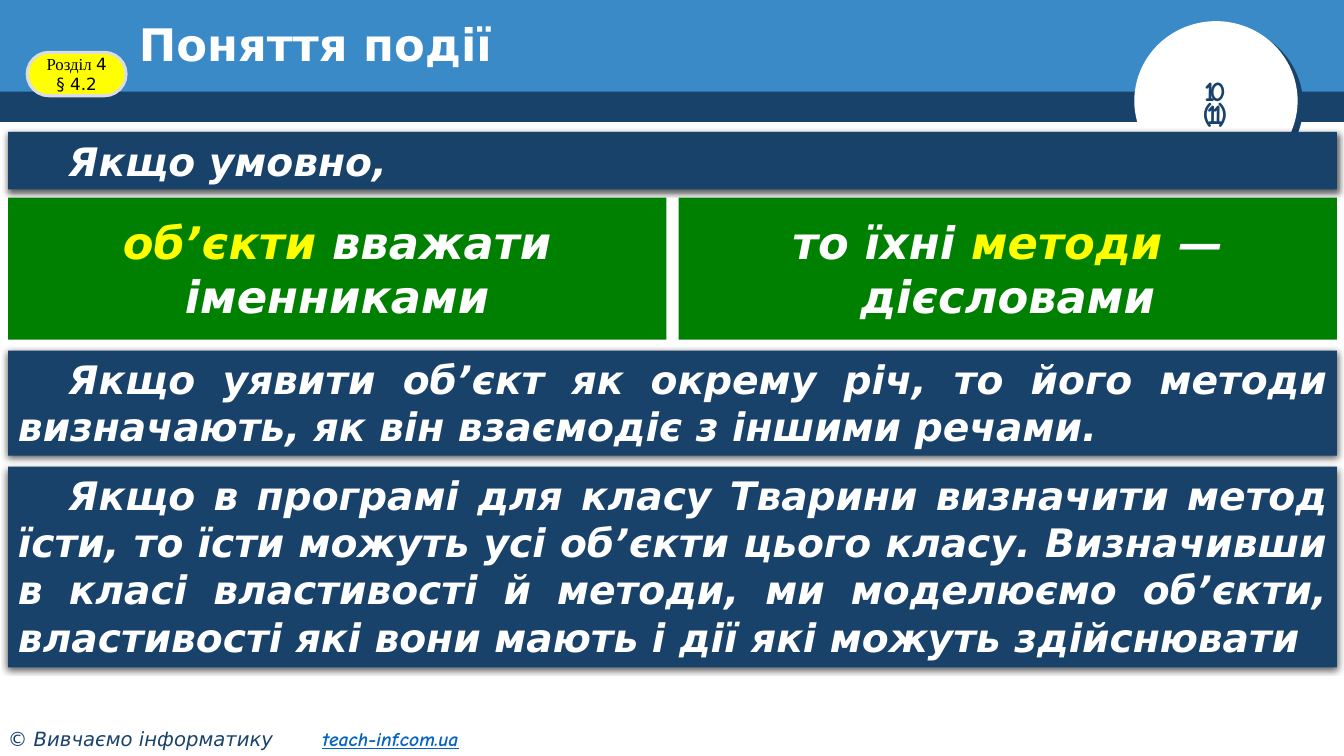
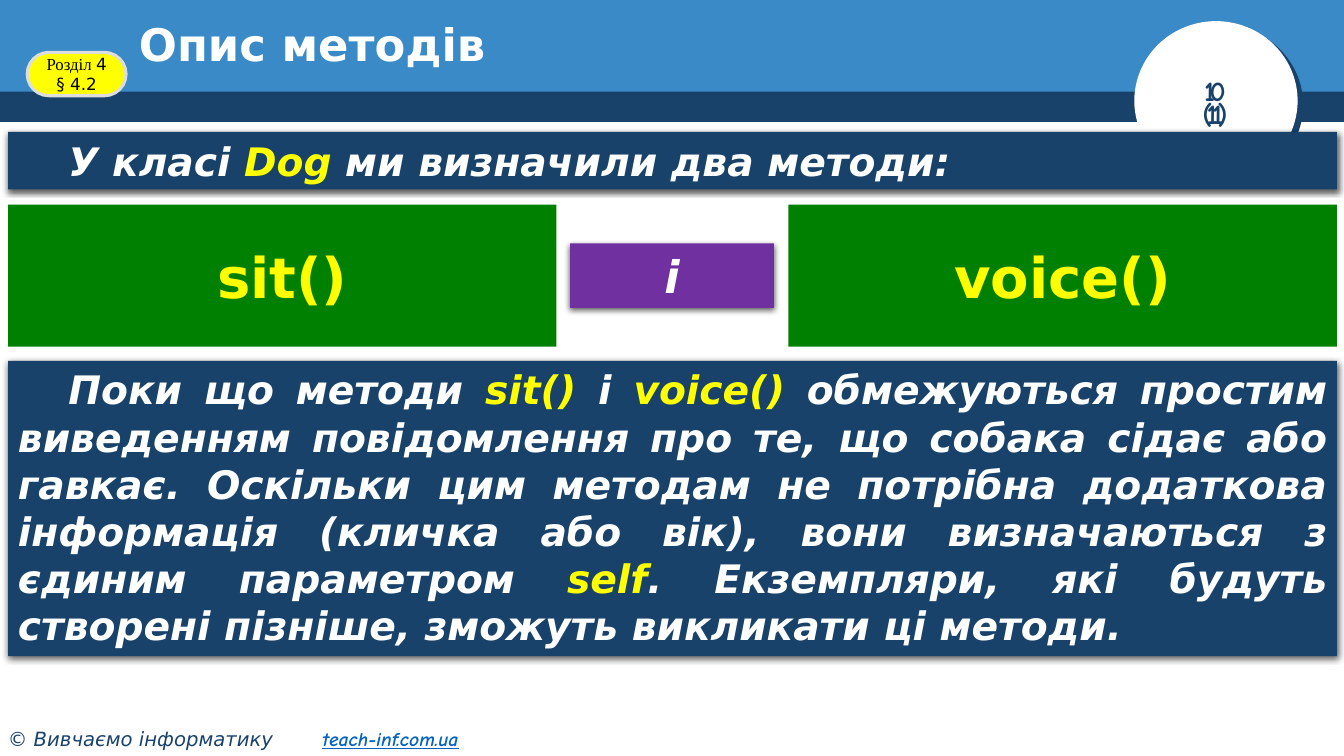
from dataclasses import dataclass
from typing import NamedTuple

import pptx
import pptx.util
import pptx.dml.color
import pptx.enum.shapes
import pptx.enum.text
import pptx.oxml
import pptx.oxml.ns
import pptx.shapes.autoshape
import pptx.slide

Inches = pptx.util.Inches
Pt = pptx.util.Pt
Align = pptx.enum.text.PP_ALIGN
Anchor = pptx.enum.text.MSO_ANCHOR
Preset = pptx.enum.shapes.MSO_SHAPE
Shape = pptx.shapes.autoshape.Shape
Slide = pptx.slide.Slide


# Theme and data types
@dataclass(frozen=True)
class Theme:
    navy: str = "19426B"
    blue: str = "398AC7"
    green: str = "008000"
    purple: str = "7030A0"
    yellow: str = "FFFF00"
    white: str = "FFFFFF"
    black: str = "000000"
    badge_border: str = "DDDDDD"
    link: str = "0563C1"
    font: str = "DejaVu Sans"
    badge_font: str = "Times New Roman"
    comic_font: str = "Comic Neue"
    title_size: int = 32
    body_size: int = 28
    panel_size: int = 32
    method_size: int = 40
    number_size: int = 20
    footer_size: int = 14
    badge_size: int = 12


THEME = Theme()


class Box(NamedTuple):
    left: float
    top: float
    width: float
    height: float


class Shadow(NamedTuple):
    color: str
    opacity: int
    blur: float
    distance: float
    angle: int


class Span(NamedTuple):
    text: str
    color: str | None = None
    font: str | None = None
    bold: bool | None = None
    italic: bool | None = None
    underline: bool | None = None


class Statement(NamedTuple):
    top: float
    height: float
    spans: list[Span]


def key(text: str) -> Span:
    """A highlighted part of a sentence."""
    return Span(text, color=THEME.yellow)


SLIDE_WIDTH, SLIDE_HEIGHT = 13.33, 7.5
MARGIN, CONTENT_WIDTH = 0.08, 13.18
PANEL_HEIGHT = 1.41
CARD_SHADOW = Shadow(THEME.black, 63, 4.5, 1.5, 90)
CIRCLE_SHADOW = Shadow(THEME.navy, 100, 0, 5, 37)


# Drawing helpers
def rgb(value: str) -> pptx.dml.color.RGBColor:
    return pptx.dml.color.RGBColor.from_string(value)


def add_block(slide: Slide, box: Box, fill: str, *, preset: Preset = Preset.RECTANGLE,
              border: str | None = None, shadow: Shadow | None = None) -> Shape:
    shape = slide.shapes.add_shape(preset, *map(Inches, box))
    shape.fill.solid()
    shape.fill.fore_color.rgb = rgb(fill)
    if border:
        shape.line.color.rgb = rgb(border)
        shape.line.width = Pt(2.25)
    else:
        shape.line.fill.background()
    shape.shadow.inherit = False
    if shadow:
        effects = shape._element.spPr.find(pptx.oxml.ns.qn("a:effectLst"))
        effects.append(pptx.oxml.parse_xml(
            f'<a:outerShdw {pptx.oxml.ns.nsdecls("a")} blurRad="{Pt(shadow.blur)}" '
            f'dist="{Pt(shadow.distance)}" dir="{shadow.angle * 60000}" '
            f'algn="t" rotWithShape="0"><a:srgbClr val="{shadow.color}">'
            f'<a:alpha val="{shadow.opacity * 1000}"/></a:srgbClr></a:outerShdw>'))
    return shape


def write_text(shape: Shape, spans: list[Span], *, size: int, color: str = THEME.white,
               font: str = THEME.font, bold: bool = True, italic: bool = False,
               align: Align = Align.LEFT, anchor: Anchor = Anchor.TOP,
               indent: float = 0, line_spacing: float | None = None,
               tab: float | None = None, tracking: float = 0) -> None:
    frame = shape.text_frame
    frame.word_wrap = True
    frame.vertical_anchor = anchor
    paragraph = frame.paragraphs[0]
    paragraph.alignment = align
    if line_spacing:
        paragraph.line_spacing = line_spacing
    properties = paragraph._p.get_or_add_pPr()
    if indent:
        properties.set("marL", "0")
        properties.set("indent", str(Inches(indent)))
    if tab:
        properties.append(pptx.oxml.parse_xml(
            f'<a:tabLst {pptx.oxml.ns.nsdecls("a")}>'
            f'<a:tab pos="{Inches(tab)}" algn="l"/></a:tabLst>'))
    for span in spans:
        for index, line in enumerate(span.text.split("\n")):
            if index:
                paragraph.add_line_break()
            run = paragraph.add_run()
            run.text = line
            run.font.size = Pt(size)
            run.font.name = span.font or font
            run.font.color.rgb = rgb(span.color or color)
            run.font.bold = bold if span.bold is None else span.bold
            run.font.italic = italic if span.italic is None else span.italic
            run.font.underline = span.underline
            if tracking:
                run._r.get_or_add_rPr().set("spc", str(int(tracking * 100)))


def add_label(slide: Slide, box: Box, spans: list[Span], **text_format) -> None:
    write_text(slide.shapes.add_textbox(*map(Inches, box)), spans, **text_format)


# Parts of the slides
def add_frame(presentation: pptx.presentation.Presentation, title: str) -> Slide:
    """Start a slide with its header, page circle, footer, title and badge."""
    slide = presentation.slides.add_slide(presentation.slide_layouts[6])
    add_block(slide, Box(0, 0.87, SLIDE_WIDTH, 0.34), THEME.navy)
    add_block(slide, Box(0, 0, SLIDE_WIDTH, 0.91), THEME.blue)
    add_block(slide, Box(11.25, 0.21, 1.62, 1.58), THEME.white,
              preset=Preset.OVAL, shadow=CIRCLE_SHADOW)
    add_label(slide, Box(11.53, 0.77, 1.04, 0.58), [Span("10\n(11)")],
              size=THEME.number_size, color=THEME.navy, font=THEME.comic_font,
              align=Align.CENTER, line_spacing=0.7, tracking=-4)
    add_label(slide, Box(-0.02, 7.16, 5.23, 0.34),
              [Span("© Вивчаємо інформатику\t", bold=False),
               Span("teach-inf.com.ua", THEME.link, THEME.comic_font, underline=True)],
              size=THEME.footer_size, color=THEME.navy, italic=True, tab=3.12)
    add_label(slide, Box(1.28, 0.18, 9.9, 0.58), [Span(title)],
              size=THEME.title_size, anchor=Anchor.MIDDLE, line_spacing=0.9)
    badge = add_block(slide, Box(0.27, 0.52, 0.98, 0.43), THEME.yellow,
                      preset=Preset.ROUNDED_RECTANGLE, border=THEME.badge_border)
    badge.adjustments[0] = 0.5
    write_text(badge, [Span("Розділ ", font=THEME.badge_font), Span("4 § 4.2")],
               size=THEME.badge_size, color=THEME.black, bold=False,
               align=Align.CENTER, anchor=Anchor.MIDDLE)
    return slide


def add_statement(slide: Slide, statement: Statement) -> None:
    box = Box(MARGIN, statement.top, CONTENT_WIDTH, statement.height)
    write_text(add_block(slide, box, THEME.navy, shadow=CARD_SHADOW), statement.spans,
               size=THEME.body_size, italic=True, align=Align.JUSTIFY, indent=0.5)


def add_panel_pair(slide: Slide, top: float, gap: float, panels: list[list[Span]], *,
                   size: int, italic: bool) -> None:
    width = (CONTENT_WIDTH - gap) / 2
    for index, spans in enumerate(panels):
        box = Box(MARGIN + index * (width + gap), top, width, PANEL_HEIGHT)
        write_text(add_block(slide, box, THEME.green), spans, size=size, italic=italic,
                   align=Align.CENTER, anchor=Anchor.MIDDLE)


# Slides
def build_event_slide(presentation: pptx.presentation.Presentation) -> None:
    slide = add_frame(presentation, "Поняття події")
    add_panel_pair(slide, 1.96, 0.12, [
        [key("об’єкти"), Span(" вважати іменниками")],
        [Span("то їхні "), key("методи"), Span(" — дієсловами")],
    ], size=THEME.panel_size, italic=True)
    for statement in (
        Statement(1.31, 0.57, [Span("Якщо умовно,")]),
        Statement(3.48, 1.04, [Span(
            "Якщо уявити об’єкт як окрему річ, то його методи визначають, "
            "як він взаємодіє з іншими речами.")]),
        Statement(4.63, 1.99, [Span(
            "Якщо в програмі для класу Тварини визначити метод їсти, то їсти можуть "
            "усі об’єкти цього класу. Визначивши в класі властивості й методи, "
            "ми моделюємо об’єкти, властивості які вони мають і дії які можуть "
            "здійснювати")]),
    ):
        add_statement(slide, statement)


def build_methods_slide(presentation: pptx.presentation.Presentation) -> None:
    slide = add_frame(presentation, "Опис методів")
    panel_top = 2.03
    add_panel_pair(slide, panel_top, 2.3, [[key("sit()")], [key("voісe()")]],
                   size=THEME.method_size, italic=False)

    # Joining word, centred between the panels
    width, height = 2.02, 0.64
    box = Box((SLIDE_WIDTH - width) / 2, panel_top + (PANEL_HEIGHT - height) / 2,
              width, height)
    write_text(add_block(slide, box, THEME.purple, shadow=CARD_SHADOW), [Span("і")],
               size=THEME.panel_size, italic=True, align=Align.CENTER)

    for statement in (
        Statement(1.31, 0.57, [
            Span("У класі "), key("Dog "), Span("ми визначили два методи:")]),
        Statement(3.58, 2.93, [
            Span("Поки що методи "), key("sit() "), Span("і "), key("voісe() "),
            Span("обмежуються простим виведенням повідомлення про те, що собака "
                 "сідає або гавкає. Оскільки цим методам не потрібна додаткова "
                 "інформація (кличка або вік), вони визначаються з єдиним параметром "),
            key("self"),
            Span(". Екземпляри, які будуть створені пізніше, зможуть викликати "
                 "ці методи.")]),
    ):
        add_statement(slide, statement)


def main() -> None:
    presentation = pptx.Presentation()
    presentation.slide_width = Inches(SLIDE_WIDTH)
    presentation.slide_height = Inches(SLIDE_HEIGHT)
    build_event_slide(presentation)
    build_methods_slide(presentation)
    presentation.save("out.pptx")


if __name__ == "__main__":
    main()
